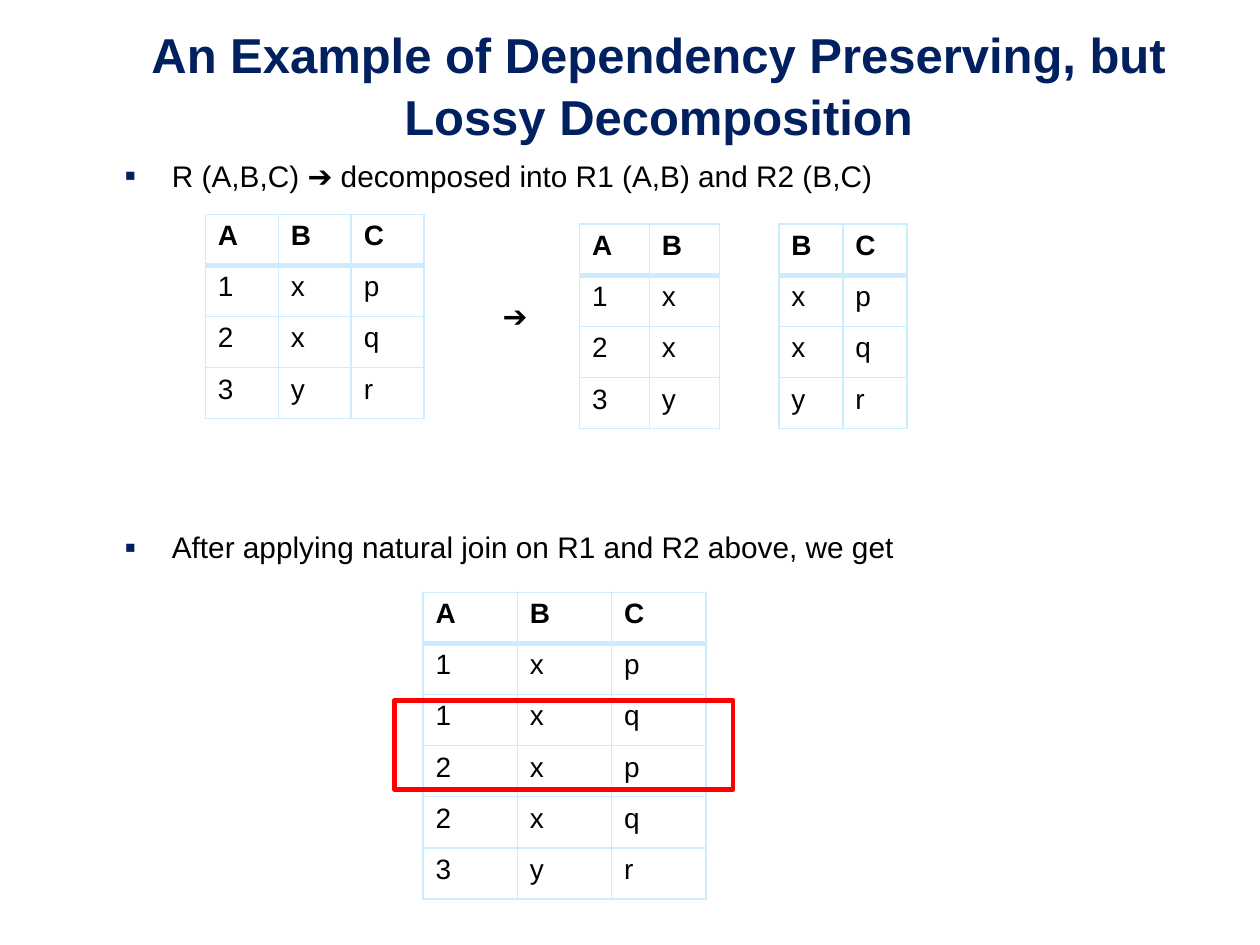
import dataclasses
import typing

import lxml.etree
import pptx
import pptx.dml.color
import pptx.enum.shapes
import pptx.enum.text
import pptx.oxml.ns
import pptx.util

Cm = pptx.util.Cm
Pt = pptx.util.Pt
qn = pptx.oxml.ns.qn
PALE = "CCECFF"
NAVY = "002060"
BLACK = "000000"


@dataclasses.dataclass
class Box:
    left: float
    top: float
    width: float
    height: float


@dataclasses.dataclass
class Grid:
    left: float
    top: float
    step: float
    rows: list[str]


@dataclasses.dataclass
class Line:
    text: str
    gap: float
    indent: float
    mark: bool


ROW = 1.03
GRIDS = [
    Grid(4.14, 4.32, 1.47, ["ABC", "1xp", "2xq", "3yr"]),
    Grid(11.68, 4.52, 1.41, ["AB", "1x", "2x", "3y"]),
    Grid(15.7, 4.52, 1.29, ["BC", "xp", "xq", "yr"]),
    Grid(8.53, 11.94, 1.9, ["ABC", "1xp", "1xq", "2xp", "2xq", "3yr"]),
]
LINES = [
    Line("R (A,B,C) ➔ decomposed into R1 (A,B) and R2 (B,C)", 0, 0.95, True),
    Line("➔", 59.5, 7.62, False),
    Line("After applying natural join on R1 and R2 above, we get", 112, 0.95, True),
]


def tint(code: str) -> pptx.dml.color.RGBColor:
    return pptx.dml.color.RGBColor.from_string(code)


def apply(item: typing.Any, style: dict[str, typing.Any]) -> None:
    for name, value in style.items():
        setattr(item, name, value)


def place(shape: typing.Any, box: Box) -> None:
    apply(shape, {k: Cm(v) for k, v in dataclasses.asdict(box).items()})


def write(para: typing.Any, text: str, size: float, color: str, bold: bool) -> None:
    run = para.add_run()
    run.text = text
    apply(run.font, {"name": "Arial", "size": Pt(size), "bold": bold})
    run.font.color.rgb = tint(color)


def add(root: typing.Any, tag: str, **attrs: str) -> typing.Any:
    return lxml.etree.SubElement(root, qn(tag), attrs)


def edge(cell: typing.Any, side: str, width: float) -> None:
    line = add(cell._tc.get_or_add_tcPr(), f"a:ln{side}", w=str(Pt(width)))
    add(add(line, "a:solidFill"), "a:srgbClr", val=PALE)


def draw_grid(slide: typing.Any, grid: Grid) -> None:
    high, wide = len(grid.rows), len(grid.rows[0])
    size = [Cm(v) for v in (grid.left, grid.top, wide * grid.step, high * ROW)]
    table = slide.shapes.add_table(high, wide, *size).table
    table.horz_banding = False
    for col in table.columns:
        col.width = Cm(grid.step)
    for i, row in enumerate(grid.rows):
        table.rows[i].height = Cm(ROW)
        for j, text in enumerate(row):
            cell = table.cell(i, j)
            widths = {"L": 1, "R": 1, "T": 3 if i == 1 else 1, "B": 3 if i == 0 else 1}
            for side, width in widths.items():
                edge(cell, side, width)
            cell.fill.solid()
            cell.fill.fore_color.rgb = tint("FFFFFF")
            write(cell.text_frame.paragraphs[0], text, 16, BLACK, i == 0)


def draw_line(para: typing.Any, line: Line) -> None:
    para.space_before = Pt(line.gap)
    prop = para._p.get_or_add_pPr()
    prop.set("marL", str(Cm(line.indent)))
    prop.set("indent", str(-Cm(line.indent) if line.mark else 0))
    if line.mark:
        add(add(prop, "a:buClr"), "a:srgbClr", val=NAVY)
        add(prop, "a:buSzPct", val="110000")
        add(prop, "a:buFont", typeface="Arial")
        add(prop, "a:buChar", char="▪")
    else:
        add(prop, "a:buNone")
    write(para, line.text, 17, BLACK, False)


def draw_title(shape: typing.Any) -> None:
    place(shape, Box(2.06, 1.35, 22.43, 1.7))
    apply(shape.text_frame, {
        "vertical_anchor": pptx.enum.text.MSO_ANCHOR.BOTTOM,
        "auto_size": pptx.enum.text.MSO_AUTO_SIZE.NONE,
        "word_wrap": True,
    })
    para = shape.text_frame.paragraphs[0]
    apply(para, {"alignment": pptx.enum.text.PP_ALIGN.CENTER, "line_spacing": 1.05})
    text = "An Example of Dependency Preserving, but Lossy Decomposition"
    write(para, text, 28, NAVY, True)


def draw_body(shape: typing.Any) -> None:
    place(shape, Box(2.26, 3.05, 21.29, 13.61))
    frame = shape.text_frame
    apply(frame, {"auto_size": pptx.enum.text.MSO_AUTO_SIZE.NONE, "word_wrap": True})
    for i, line in enumerate(LINES):
        draw_line(frame.add_paragraph() if i else frame.paragraphs[0], line)


def draw_frame(slide: typing.Any, box: Box) -> None:
    kind = pptx.enum.shapes.MSO_SHAPE.RECTANGLE
    shape = slide.shapes.add_shape(kind, 0, 0, 0, 0)
    place(shape, box)
    shape.shadow.inherit = False
    shape.fill.background()
    shape.line.width = Pt(2.5)
    shape.line.color.rgb = tint("FF0000")


def main() -> None:
    deck = pptx.Presentation()
    apply(deck, {"slide_width": Cm(25.4), "slide_height": Cm(19.05)})
    slide = deck.slides.add_slide(deck.slide_layouts[1])
    draw_title(slide.shapes.title)
    draw_body(slide.placeholders[1])
    for grid in GRIDS:
        draw_grid(slide, grid)
    draw_frame(slide, Box(7.95, 14.12, 6.83, 1.8))
    deck.save("out.pptx")


if __name__ == "__main__":
    main()
